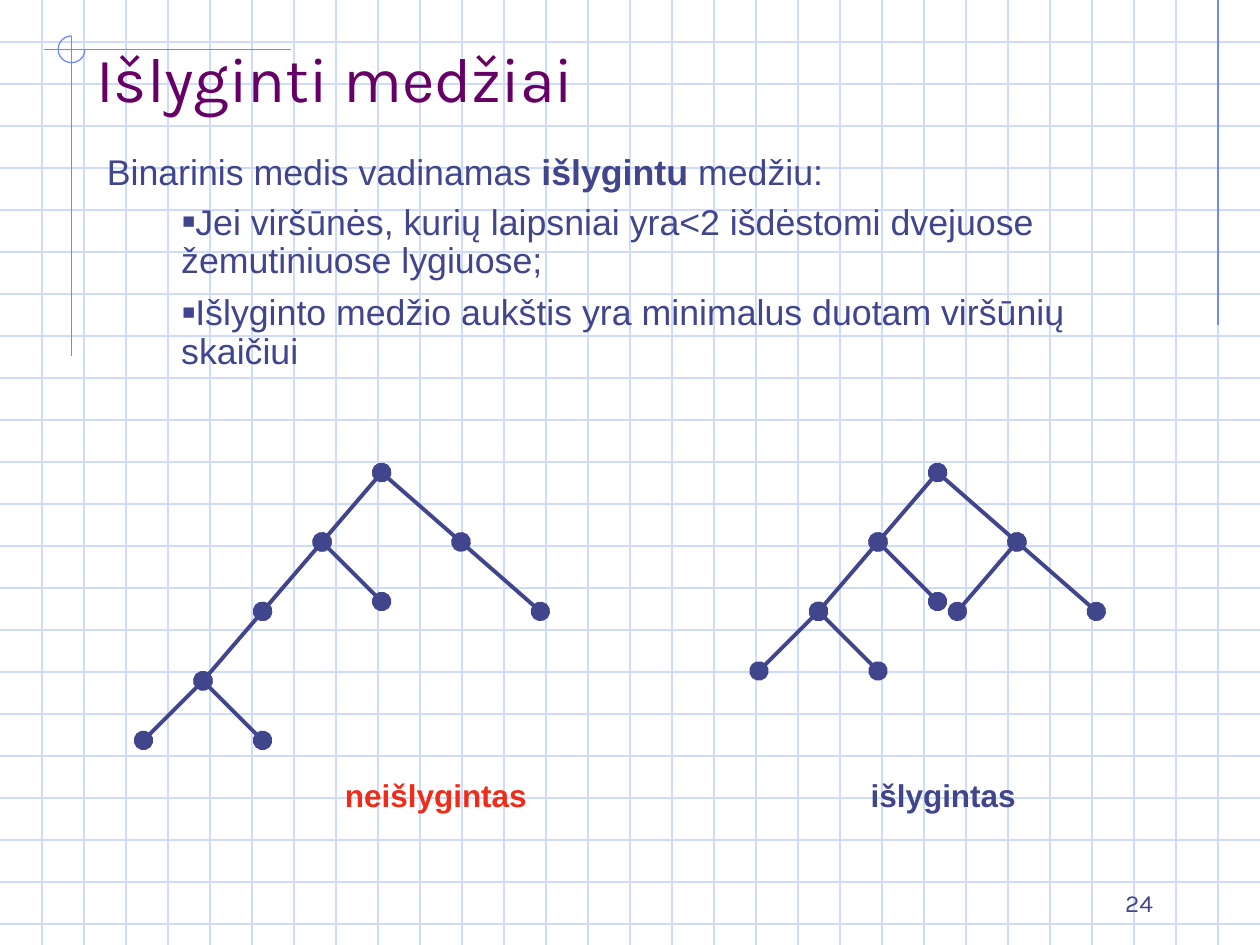
"""Builds a slide that compares an unbalanced and a balanced binary tree."""
from dataclasses import dataclass

import pptx
import pptx.dml.color
import pptx.enum.shapes
import pptx.enum.text
import pptx.oxml
import pptx.oxml.ns
import pptx.util
from lxml import etree

Pt = pptx.util.Pt
ANCHOR = pptx.enum.text.MSO_ANCHOR
ALIGN = pptx.enum.text.PP_ALIGN


@dataclass(frozen=True)
class Theme:
    """Colours, fonts and type sizes of the slide."""
    ink: str = "40458C"
    title: str = "660066"
    alert: str = "ED2D19"
    grid: str = "CFDBFD"
    accent: str = "6F89F7"
    heading_font: str = "Karla"
    body_font: str = "Arial"
    title_size: float = 36
    body_size: float = 20.4
    label_size: float = 18
    number_size: float = 14
    thin: float = 0.75
    thick: float = 2.25


THEME = Theme()

UNBALANCED = (
    {"root": (12, 0), "l": (9, 3.5), "r": (16, 3.5), "ll": (6, 7),
     "lr": (12, 6.5), "rr": (20, 7), "lll": (3, 10.5),
     "llll": (0, 13.5), "lllr": (6, 13.5)},
    ["root l", "r root", "l ll", "ll lll", "lr l", "lllr lll", "rr r", "llll lll"],
)
BALANCED = (
    {"root": (9, 0), "l": (6, 3.5), "r": (13, 3.5), "ll": (3, 7),
     "lr": (9, 6.5), "rl": (10, 7), "rr": (17, 7),
     "lll": (0, 10), "llr": (6, 10)},
    ["root l", "r root", "l ll", "r rl", "lr l", "llr ll", "rr r", "lll ll"],
)


def rgb(color):
    """Return the colour object for a hex string."""
    return pptx.dml.color.RGBColor.from_string(color)


def sub(parent, tag, **attrs):
    """Append a DrawingML element to a parent."""
    return etree.SubElement(parent, pptx.oxml.ns.qn(tag), attrs)


def add_line(s, x1, y1, x2, y2, color, width):
    """Draw a straight line without a shadow."""
    line = s.shapes.add_connector(
        pptx.enum.shapes.MSO_CONNECTOR.STRAIGHT, Pt(x1), Pt(y1), Pt(x2), Pt(y2))
    line.line.color.rgb = rgb(color)
    line.line.width = Pt(width)
    sub(line._element.spPr, "a:effectLst")
    return line


def add_box(s, box, anchor=ANCHOR.TOP, inset_y=3.6):
    """Add a wrapping text box and return its text frame."""
    tf = s.shapes.add_textbox(*map(Pt, box)).text_frame
    tf.word_wrap = True
    tf.vertical_anchor = anchor
    tf.margin_top = tf.margin_bottom = Pt(inset_y)
    return tf


def add_run(p, text, font, size, color, bold=False):
    """Add a formatted run to a paragraph."""
    r = p.add_run()
    r.text = text
    r.font.name = font
    r.font.size = Pt(size)
    r.font.color.rgb = rgb(color)
    r.font.bold = bold


def add_grid(s, box, step=24):
    """Cover the box with squared-paper lines."""
    left, top, width, height = box
    for y in range(top + step, top + height, step):
        add_line(s, left, y, left + width, y, THEME.grid, THEME.thin)
    for x in range(left + step, left + width, step):
        add_line(s, x, top, x, top + height, THEME.grid, THEME.thin)


def add_corner_mark(s, box):
    """Draw the crossed lines with a three-quarter ring at their meeting point."""
    left, top, width, height = box
    x, y, radius = left + 15.7, top + 7.5, 7.65
    add_line(s, left + width, y, left, y, THEME.accent, THEME.thin)
    add_line(s, x, top, x, top + height, THEME.accent, THEME.thin)
    sp = s.shapes.add_shape(
        pptx.enum.shapes.MSO_SHAPE.ARC,
        Pt(x - radius), Pt(y - radius), Pt(2 * radius), Pt(2 * radius))
    sp.adjustments[0] = 0
    sp.adjustments[1] = 162
    sp.shadow.inherit = False
    sp.fill.background()
    sp.line.color.rgb = rgb(THEME.accent)
    sp.line.width = Pt(THEME.thin)


def add_title(s, box, text):
    """Place the slide title."""
    p = add_box(s, box, ANCHOR.BOTTOM, 0).paragraphs[0]
    add_run(p, text, THEME.heading_font, THEME.title_size, THEME.title)


def add_number(s, box, text):
    """Place the slide number."""
    p = add_box(s, box, ANCHOR.BOTTOM).paragraphs[0]
    p.alignment = ALIGN.RIGHT
    add_run(p, text, THEME.heading_font, THEME.number_size, THEME.ink)


def add_definition(s, box, lead, bullets):
    """Place the lead sentence and its bulleted conditions."""
    tf = add_box(s, box)
    p = tf.paragraphs[0]
    p.line_spacing = 0.7
    for text, bold in lead:
        add_run(p, text, THEME.body_font, THEME.body_size, THEME.ink, bold)
    for text in bullets:
        p = tf.add_paragraph()
        p.level = 1
        ppr = p._p.get_or_add_pPr()
        ppr.set("marL", str(Pt(42.5)))
        ppr.set("indent", str(Pt(0.7)))
        sub(sub(ppr, "a:buClr"), "a:srgbClr", val=THEME.ink)
        sub(ppr, "a:buSzPct", val="60000")
        sub(ppr, "a:buFont", typeface=THEME.body_font)
        sub(ppr, "a:buChar", char="■")
        p.line_spacing = 0.9
        p.space_before = Pt(7.5)
        add_run(p, text, THEME.body_font, THEME.body_size, THEME.ink)


def add_tree(s, left, top, tree, unit=11.34):
    """Draw a tree whose edges end in round nodes."""
    nodes, edges = tree
    points = {name: (left + x * unit, top + y * unit) for name, (x, y) in nodes.items()}
    for edge in edges:
        start, end = edge.split()
        line = add_line(s, *points[start], *points[end], THEME.ink, THEME.thick)
        ln = line.line._get_or_add_ln()
        for tag in ("a:headEnd", "a:tailEnd"):
            sub(ln, tag, type="oval", w="lg", len="lg")


def add_label(s, box, text, color):
    """Place the bold caption under a tree."""
    p = add_box(s, box).paragraphs[0]
    add_run(p, text, THEME.body_font, THEME.label_size, color, True)


def main():
    """Build and save the slide."""
    prs = pptx.Presentation()
    prs.slide_width, prs.slide_height = Pt(720), Pt(540)
    s = prs.slides.add_slide(prs.slide_layouts[6])
    add_grid(s, (0, 0, 720, 540))
    add_line(s, 696, 0, 696, 186, THEME.accent, THEME.thin)
    add_corner_mark(s, (25.2, 20.7, 141, 183))
    add_number(s, (516, 492, 150, 36), "24")
    add_title(s, (48, 24, 612, 42), "Išlyginti medžiai")
    add_definition(
        s, (54, 88.5, 629, 120),
        [("Binarinis medis vadinamas ", False), ("išlygintu", True), (" medžiu:", False)],
        ["Jei viršūnės, kurių laipsniai yra<2 išdėstomi dvejuose žemutiniuose lygiuose;",
         "Išlyginto medžio aukštis yra minimalus duotam viršūnių skaičiui"])
    add_tree(s, 82, 270, UNBALANCED)
    add_tree(s, 433.7, 270, BALANCED)
    add_label(s, (190, 440, 136, 29), "neišlygintas", THEME.alert)
    add_label(s, (490.4, 440, 136, 29), "išlygintas", THEME.ink)
    prs.save("out.pptx")


if __name__ == "__main__":
    main()
